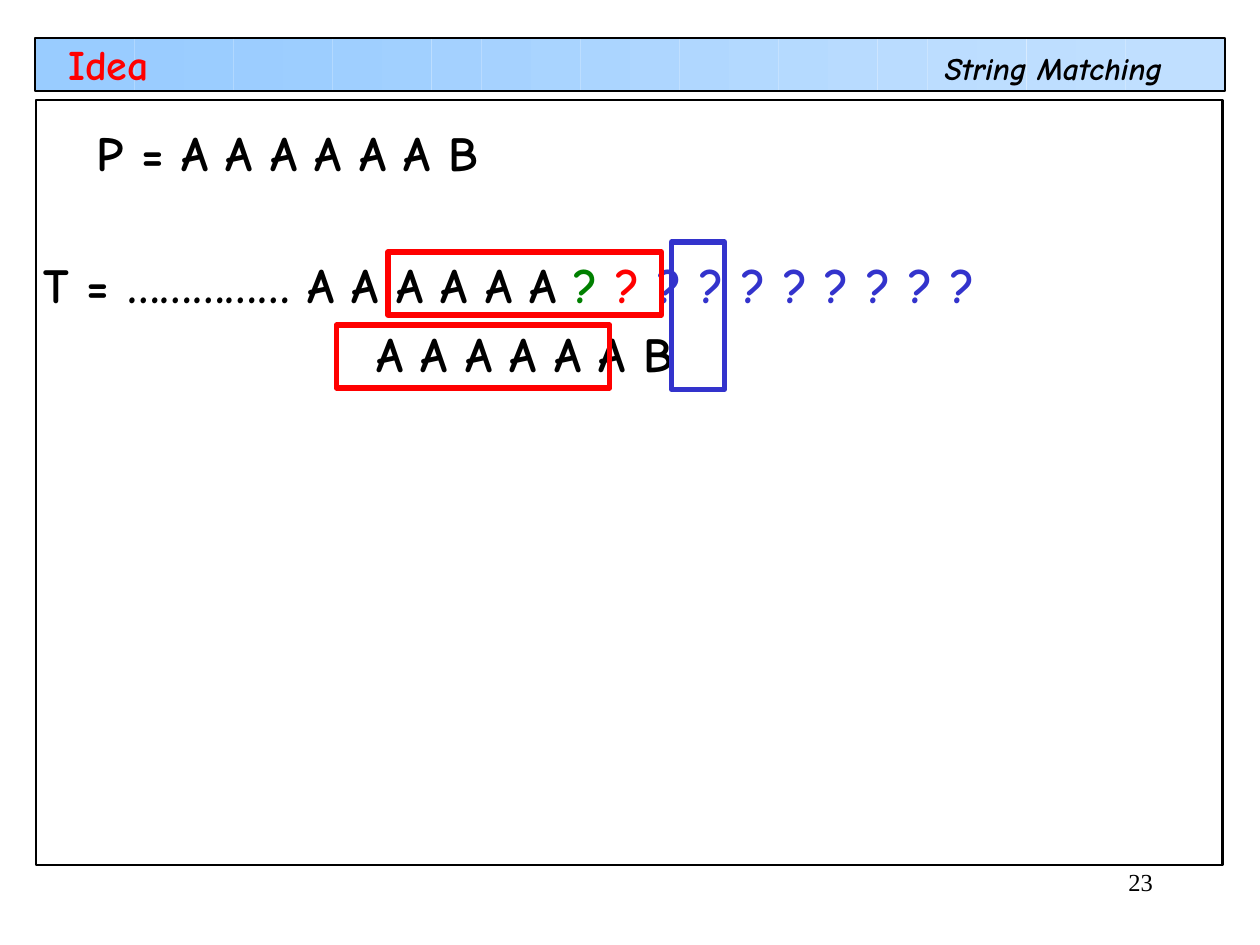
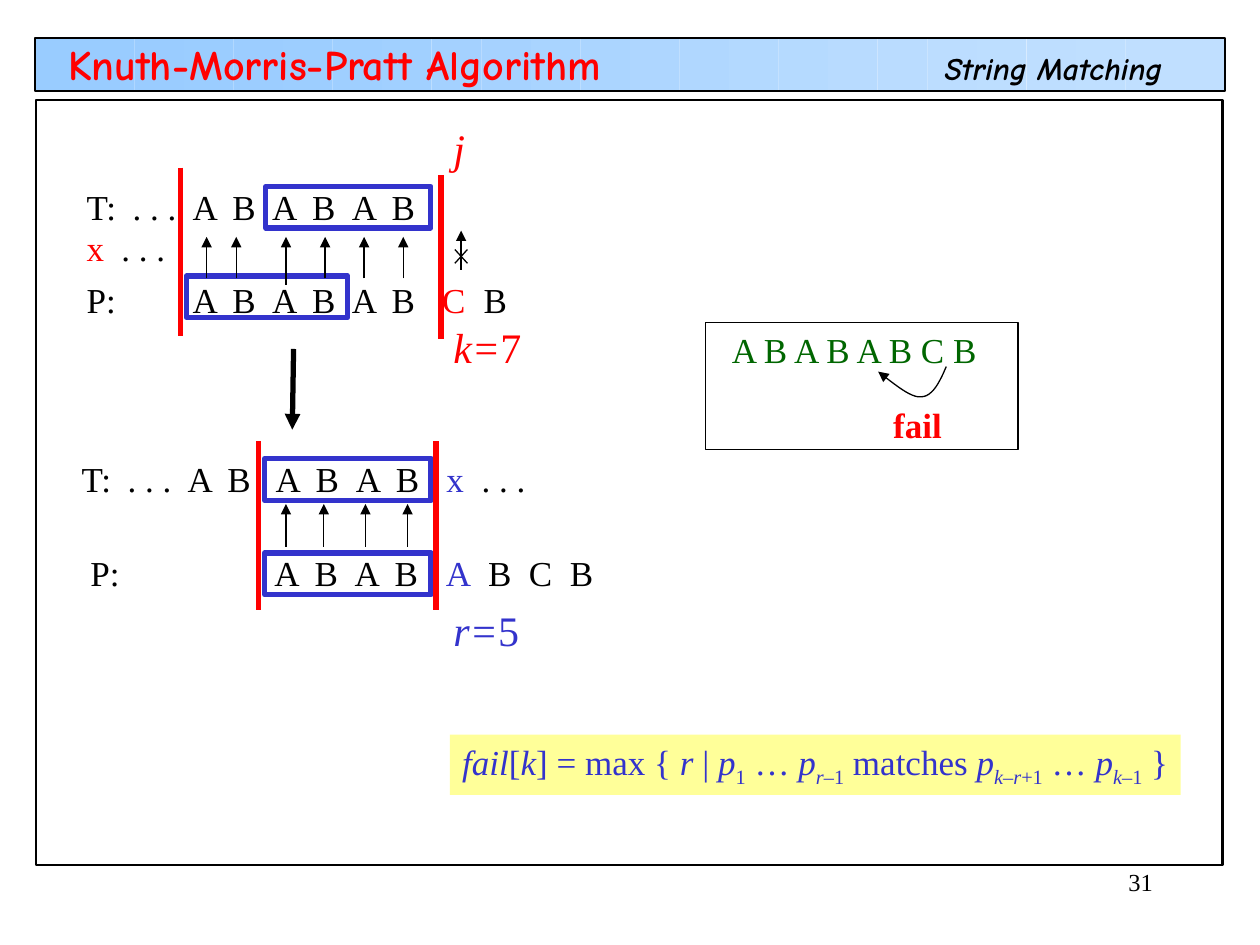
from math import cos, pi

from lxml.etree import SubElement
from pptx import Presentation
from pptx.dml.color import RGBColor
from pptx.enum.shapes import MSO_CONNECTOR, MSO_SHAPE
from pptx.enum.text import MSO_ANCHOR, MSO_AUTO_SIZE, PP_ALIGN
from pptx.oxml.ns import qn
from pptx.util import Inches, Pt

COLORS = {
    "black": "000000",
    "red": "FF0000",
    "blue": "3333CC",
    "green": "008000",
    "dark_green": "006600",
    "yellow": "FFFF99",
    "band_start": "99CCFF",
    "band_end": "C0DFFF",
}
COMIC = "Comic Neue"
TIMES = "Times New Roman"
COLUMNS, ROWS = 100, 75
STRIPS = 24
INSET = 1


def write(frame, spans, size=20, font=TIMES, color="black", bold=False,
          italic=False, align=PP_ALIGN.LEFT):
    para = frame.paragraphs[0]
    para.alignment = align
    for text, changes in [(spans, {})] if isinstance(spans, str) else spans:
        span = para.add_run()
        span.text = text
        span.font.name = font
        span.font.size = Pt(size)
        span.font.bold = bold
        span.font.italic = changes.get("italic", italic)
        span.font.color.rgb = RGBColor.from_string(COLORS[changes.get("color", color)])
        if changes.get("sub"):
            span.font._element.set("baseline", "-25000")
    return para


def bezier(start, first, second, end, steps=12):
    for step in range(1, steps + 1):
        t = step / steps
        weights = ((1 - t) ** 3, 3 * t * (1 - t) ** 2, 3 * t * t * (1 - t), t ** 3)
        points = (start, first, second, end)
        yield tuple(sum(w * p[axis] for w, p in zip(weights, points)) for axis in (0, 1))


class Board:
    def __init__(self):
        self.deck = Presentation()
        self.deck.slide_width = Inches(10)
        self.deck.slide_height = Inches(7.5)
        self.column = self.deck.slide_width / COLUMNS
        self.row_height = self.deck.slide_height / ROWS
        self.layout = self.deck.slide_layouts[5]
        self.slide = None

    def place(self, left, top, *size):
        units = (self.column, self.row_height) * 2
        return [round(value * unit) for value, unit in zip((left, top) + size, units)]

    def page(self, title, number):
        first = self.slide is None
        self.slide = self.deck.slides.add_slide(self.layout)
        if first:
            self.share_frame()
        self.text(79.2, 68.3, 13.3, 5, str(number), size=14, align=PP_ALIGN.RIGHT)
        heading = self.slide.shapes.title
        heading.left, heading.top, heading.width, heading.height = self.place(4.4, 3.8, 51.7, 2.5)
        frame = heading.text_frame
        frame.auto_size = MSO_AUTO_SIZE.NONE
        frame.vertical_anchor = MSO_ANCHOR.MIDDLE
        write(frame, title, size=24, font=COMIC, color="red", bold=True)

    def share_frame(self):
        self.band()
        self.rect(2.83, 7.93, 94.2, 60.7, width=1.25)
        self.text(74, 3.4, 21, 4, "String Matching", size=18, font=COMIC,
                  bold=True, italic=True)
        for shape in list(self.slide.shapes):
            if not shape.is_placeholder:
                self.layout.shapes.element.append(shape.element)

    def band(self):
        left, top, width, height = 2.8, 3, 94.4, 4.2
        start, end = (RGBColor.from_string(COLORS[name]) for name in ("band_start", "band_end"))
        for index in range(STRIPS):
            share = (1 - cos(pi * index / (STRIPS - 1))) / 2
            shade = RGBColor(*(round(a + (b - a) * share) for a, b in zip(start, end)))
            strip = self.rect(left + index * width / STRIPS, top, width / STRIPS, height, line=None)
            strip.fill.solid()
            strip.fill.fore_color.rgb = shade
        self.rect(left, top, width, height, width=1.25)

    def outline(self, shape, color, width):
        shape.line.color.rgb = RGBColor.from_string(COLORS[color])
        shape.line.width = Pt(width)

    def rect(self, left, top, across, down, line="black", width=3, fill=None):
        box = self.slide.shapes.add_shape(MSO_SHAPE.RECTANGLE, *self.place(left, top, across, down))
        box.shadow.inherit = False
        if fill:
            box.fill.solid()
            box.fill.fore_color.rgb = RGBColor.from_string(COLORS[fill])
        else:
            box.fill.background()
        if line:
            self.outline(box, line, width)
        else:
            box.line.fill.background()
        return box

    def text(self, left, top, across, down, spans, **style):
        box = self.slide.shapes.add_textbox(*self.place(left, top, across, down))
        box.text_frame.word_wrap = True
        box.text_frame.auto_size = MSO_AUTO_SIZE.NONE
        return write(box.text_frame, spans, **style)

    def row(self, left, top, label, *groups, color="black"):
        spans = [(label, {"color": color})]
        stops = []
        for letters, start, pitch, shade in groups:
            for index, letter in enumerate(letters):
                spans.append(("\t" + letter, {"color": shade}))
                stops.append(start + index * pitch - left - INSET)
        para = self.text(left, top, 45, 4.4, spans)
        tabs = SubElement(para._p.get_or_add_pPr(), qn("a:tabLst"))
        for stop in stops:
            SubElement(tabs, qn("a:tab"), pos=str(round(stop * self.column)), algn="l")

    def arrowhead(self, shape):
        SubElement(shape.element.spPr.find(qn("a:ln")), qn("a:tailEnd"), type="triangle")

    def line(self, start, end, color="black", width=0.75, arrow=False):
        link = self.slide.shapes.add_connector(
            MSO_CONNECTOR.STRAIGHT, *self.place(*start), *self.place(*end))
        self.outline(link, color, width)
        if arrow:
            self.arrowhead(link)
        SubElement(link.element.spPr, qn("a:effectLst"))

    def bars(self, *spans):
        for column, top, bottom in spans:
            self.line((column, top), (column, bottom), color="red", width=3)

    def arrows(self, columns, bottom, top):
        for column in columns:
            self.line((column, bottom), (column, top), arrow=True)

    def curve(self, start, *pieces):
        points = []
        last = start
        for piece in pieces:
            points += [tuple(self.place(*point)) for point in bezier(last, *piece)]
            last = piece[-1]
        builder = self.slide.shapes.build_freeform(*self.place(*start))
        builder.add_line_segments(points, close=False)
        shape = builder.convert_to_shape()
        shape.shadow.inherit = False
        shape.fill.background()
        self.outline(shape, "black", 0.75)
        self.arrowhead(shape)


def idea(board):
    board.page("Idea", 23)
    letters = {"size": 28, "font": COMIC, "bold": True}
    board.text(2.5, 19.7, 93.3, 5.7, [
        ("T = …………… A A A A A A ", {}),
        ("? ", {"color": "green"}),
        ("? ", {"color": "red"}),
        ("? ? ? ? ? ? ? ?", {"color": "blue"}),
    ], **letters)
    board.text(6.7, 9.2, 35, 5.7, "P = A A A A A A B", **letters)
    board.text(28.9, 25.2, 28, 5.7, "A A A A A A B", **letters)
    board.rect(53.3, 19.2, 4.2, 11.7, line="blue")
    for left, top in ((30.8, 20), (26.7, 25.8)):
        board.rect(left, top, 21.7, 5, line="red")


def mismatch(board):
    board.row(5.9, 14.2, "T:", ([". . ."], 10.55, 0, "black"), ("ABABAB", 15.3, 3.16, "black"))
    board.row(5.9, 17.45, "x", ([". . ."], 9.65, 0, "black"), color="red")
    board.row(5.9, 21.6, "P:", ("ABABAB", 15.3, 3.16, "black"),
              ("C", 35.1, 0, "red"), ("B", 38.4, 0, "black"))
    board.rect(21.1, 14.8, 13.1, 3.3, line="blue")
    board.rect(14.8, 21.9, 12.8, 3.3, line="blue")
    board.bars((14.3, 13.3, 26.7), (35, 13.9, 26.9))
    board.arrows((16.4, 18.75, 25.8, 28.9, 32), 22.1, 18.8)
    board.arrows((22.7,), 22.6, 18.8)
    board.arrows((36.6,), 21.4, 18.3)
    for right, left in ((19.8, 20.9), (20.9, 19.8)):
        board.line((37.1, right), (36.1, left))
    board.text(35, 25, 9, 5, [("k=", {}), ("7", {"italic": False})],
               size=24, color="red", italic=True)
    board.text(35, 9.2, 4, 5, "j", size=24, color="red", italic=True)


def shifted(board):
    board.line((23.3, 27.7), (23.2, 34.1), width=3, arrow=True)
    board.row(6.2, 43.3, "P:", ("ABAB", 21.8, 3.18, "black"),
              ("A", 35.4, 0, "blue"), ("BCB", 38.75, 3.25, "black"))
    board.row(5.5, 35.8, "T:", ([". . ."], 10.15, 0, "black"), ("AB", 14.9, 3.16, "black"),
              ("ABAB", 21.9, 3.18, "black"), ("x", 35.45, 0, "blue"),
              ([". . ."], 38.25, 0, "black"))
    for top in (43.9, 36.4):
        board.rect(21, top, 13.2, 3.3, line="blue")
    board.bars((20.5, 35, 48.4), (34.6, 35, 48.4))
    board.arrows((22.7, 25.7, 29, 32.35), 43.4, 40)
    board.text(35, 47.5, 9, 5, [("r=", {}), ("5", {"italic": False})],
               size=24, color="blue", italic=True)


def fail_rule(board):
    board.text(57.1, 25.6, 23.5, 4.4, "A B A B A B C B", color="dark_green")
    board.curve((75.1, 29.1),
                ((74.6, 30.3), (74, 31.5), (73.1, 31.5)),
                ((72.3, 31.6), (71, 30.5), (69.7, 29.5)))
    board.text(69.9, 31.5, 8, 4.4, "fail", color="red", bold=True)
    board.rect(56, 25.6, 24.8, 10.1, width=0.75)
    box = board.rect(35.7, 58.3, 58, 4.8, line=None, fill="yellow")
    box.text_frame.word_wrap = False
    box.text_frame.vertical_anchor = MSO_ANCHOR.TOP
    plain, sub = {"italic": False}, {"sub": True}
    low = {**plain, **sub}
    write(box.text_frame, [
        ("fail", {}), ("[", plain), ("k", {}), ("] = max { ", plain), ("r", {}),
        (" | ", plain), ("p", {}), ("1", low), (" … ", plain), ("p", {}),
        ("r–", sub), ("1", low), (" matches ", plain), ("p", {}), ("k–r", sub),
        ("+1", low), (" … ", plain), ("p", {}), ("k–", sub), ("1", low), (" }", plain),
    ], color="blue", italic=True)


def main():
    board = Board()
    idea(board)
    board.page("Knuth-Morris-Pratt Algorithm", 31)
    mismatch(board)
    shifted(board)
    fail_rule(board)
    board.deck.save("out.pptx")


if __name__ == "__main__":
    main()
